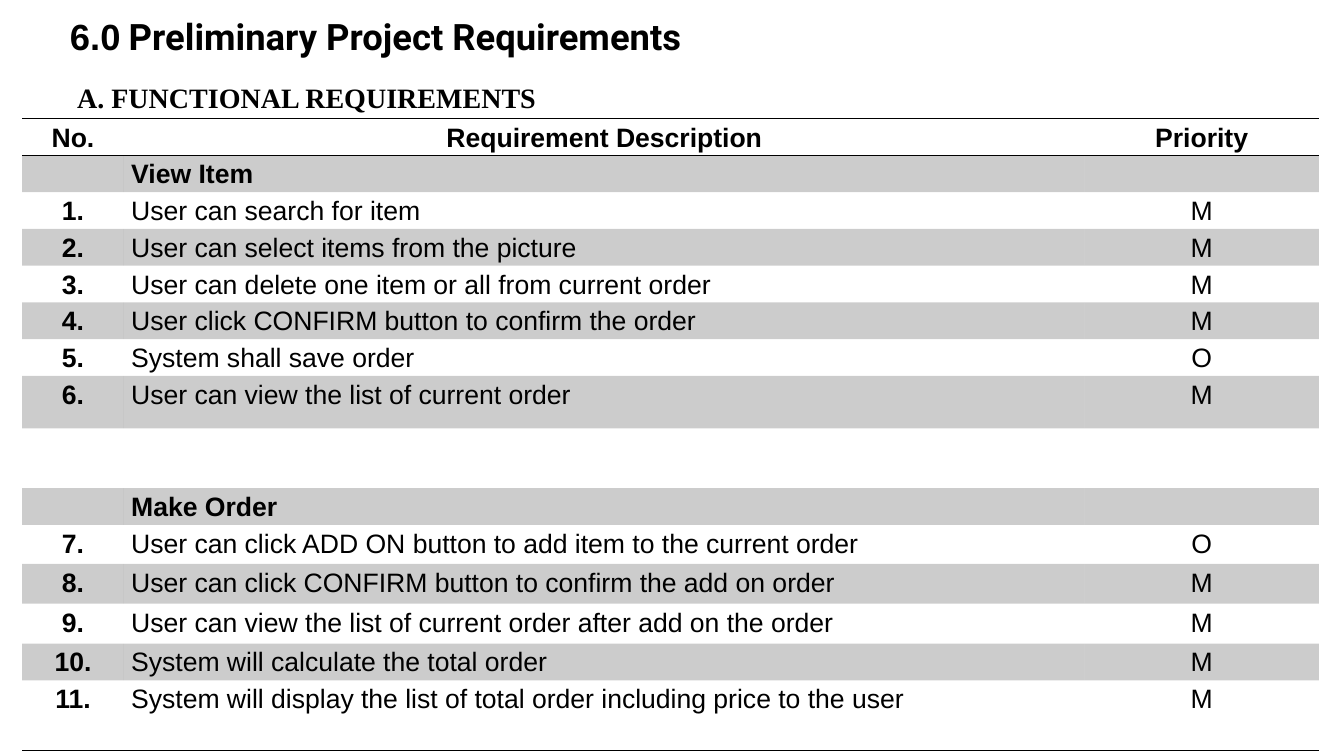
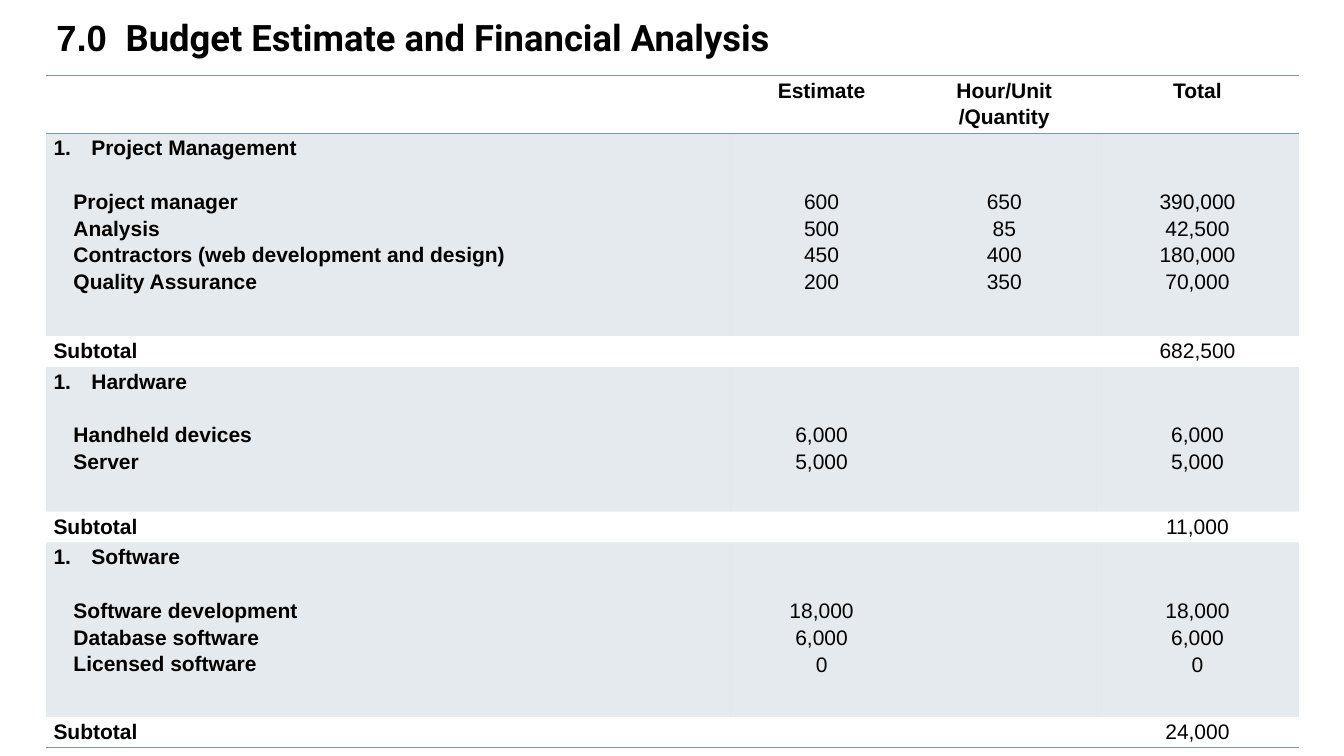
from dataclasses import dataclass
from itertools import count

from pptx import Presentation
from pptx.dml.color import RGBColor
from pptx.enum.text import MSO_ANCHOR as Anchor, MSO_AUTO_SIZE as AutoSize, PP_ALIGN as Align
from pptx.oxml import parse_xml
from pptx.oxml.ns import nsdecls, qn
from pptx.util import Pt

PX = 9525
SLIDE_SIZE = (1280, 720)
NO_STYLE = "{2D5ABB26-0587-4C30-8999-92F81FD0307C}"


@dataclass(frozen=True)
class Theme:
    """Colours, fonts and type sizes shared by the slides."""

    ink: str = "000000"
    steel: str = "7E97AD"
    body_font: str = "Arial"
    heading_font: str = "Roboto"
    section_font: str = "Times New Roman"
    title_size: int = 26
    section_size: int = 20
    requirement_size: int = 19
    budget_size: int = 15
    line_spacing: float = 1.15
    band_opacity: int = 20000
    rule_width: int = 12700


THEME = Theme()

REQUIREMENTS = {
    "View Item": [
        ("User can search for item", "M"),
        ("User can select items from the picture", "M"),
        ("User can delete one item or all from current order", "M"),
        ("User click CONFIRM button to confirm the order", "M"),
        ("System shall save order", "O"),
        ("User can view the list of current order", "M"),
    ],
    "Make Order": [
        ("User can click ADD ON button to add item to the current order", "O"),
        ("User can click CONFIRM button to confirm the add on order", "M"),
        ("User can view the list of current order after add on the order", "M"),
        ("System will calculate the total order", "M"),
        ("System will display the list of total order including price to the user", "M"),
    ],
}

BUDGET = {
    "Project Management": [
        ("Project manager", 600, 650),
        ("Analysis", 500, 85),
        ("Contractors (web development and design)", 450, 400),
        ("Quality Assurance", 200, 350),
    ],
    "Hardware": [("Handheld devices", 6000, None), ("Server", 5000, None)],
    "Software": [
        ("Software development", 18000, None),
        ("Database software", 6000, None),
        ("Licensed software", 0, None),
    ],
}


def set_values(target, values):
    """Set every attribute named in a dict of format values."""
    for name, value in values.items():
        setattr(target, name, value)


def scale(*lengths):
    """Turn px lengths into EMU."""
    return [length * PX for length in lengths]


def add_run(paragraph, text, font, size, bold=True):
    """Append one formatted run to a paragraph."""
    run = paragraph.add_run()
    run.text = text
    set_values(run.font, {"name": font, "size": Pt(size), "bold": bold})
    run.font.color.rgb = RGBColor.from_string(THEME.ink)


def add_title(slide, box, number, heading, gap):
    """Fill the title placeholder, with the heading at a tab stop after its number."""
    title = slide.shapes.title
    set_values(title, dict(zip(("left", "top", "width", "height"), scale(*box))))
    frame = title.text_frame
    set_values(frame, {"vertical_anchor": Anchor.TOP, "auto_size": AutoSize.NONE, "word_wrap": True})
    paragraph = frame.paragraphs[0]
    paragraph.alignment = Align.LEFT
    paragraph._p.get_or_add_pPr().append(
        parse_xml(f'<a:tabLst {nsdecls("a")}><a:tab pos="{gap * PX}" algn="l"/></a:tabLst>')
    )
    add_run(paragraph, f"{number}\t", THEME.body_font, THEME.title_size)
    add_run(paragraph, heading, THEME.heading_font, THEME.title_size)


def add_section_heading(slide, box, text):
    """Place the heading that stands above a table."""
    frame = slide.shapes.add_textbox(*scale(*box)).text_frame
    set_values(frame, {"word_wrap": True, "vertical_anchor": Anchor.BOTTOM})
    add_run(frame.paragraphs[0], text, THEME.section_font, THEME.section_size)


def add_plain_table(slide, corner, columns, rows):
    """Add an unstyled table with the given column widths and row heights."""
    box = scale(*corner, sum(columns), sum(rows))
    shape = slide.shapes.add_table(len(rows), len(columns), *box)
    table = shape.table
    set_values(table, {"first_row": False, "horz_banding": False})
    for style in shape._element.iter(qn("a:tableStyleId")):
        style.text = NO_STYLE
    for column, width in zip(table.columns, columns):
        column.width = width * PX
    for row, height in zip(table.rows, rows):
        row.height = height * PX
    inset = dict(zip(("margin_left", "margin_right", "margin_top", "margin_bottom"), scale(7, 7, 0, 0)))
    for cell in table.iter_cells():
        set_values(cell, inset)
    return table


def fill_cell(cell, lines, size, bold=False, align=Align.LEFT):
    """Write one paragraph per line into a cell and return the paragraphs."""
    frame = cell.text_frame
    for index, line in enumerate(lines):
        paragraph = frame.add_paragraph() if index else frame.paragraphs[0]
        set_values(paragraph, {"alignment": align, "line_spacing": THEME.line_spacing})
        add_run(paragraph, line, THEME.body_font, size, bold)
    return frame.paragraphs


def add_rule(cell, side, color):
    """Draw the top (T) or bottom (B) border of a cell."""
    cell._tc.get_or_add_tcPr().insert(0, parse_xml(
        f'<a:ln{side} {nsdecls("a")} w="{THEME.rule_width}"><a:solidFill>'
        f'<a:srgbClr val="{color}"/></a:solidFill></a:ln{side}>'
    ))


def paint_table(table, color):
    """Tint every second row and rule off the header and the last row."""
    last = len(table.rows) - 1
    for index, row in enumerate(table.rows):
        for cell in row.cells:
            if index % 2:
                cell.fill.solid()
                cell.fill.fore_color.rgb = RGBColor.from_string(color)
                tint = next(cell._tc.tcPr.iter(qn("a:srgbClr")))
                tint.append(parse_xml(f'<a:alpha {nsdecls("a")} val="{THEME.band_opacity}"/>'))
            else:
                cell.fill.background()
            if index in (0, last):
                add_rule(cell, "B", color)
            if index == 0:
                add_rule(cell, "T", color)


def add_requirements_table(slide, corner):
    """Build the numbered requirements, with an empty row between groups."""
    heights = [35] * 7 + [50, 57, 35, 37, 38, 38, 35, 67]
    table = add_plain_table(slide, corner, (97, 915, 223), heights)
    size = THEME.requirement_size
    for column, label in enumerate(("No.", "Requirement Description", "Priority")):
        fill_cell(table.cell(0, column), [label], size, True, Align.CENTER)
    row, number = 1, count(1)
    for group, requirements in REQUIREMENTS.items():
        if row > 1:
            table.cell(row, 0).merge(table.cell(row, 2))
            row += 1
        fill_cell(table.cell(row, 1), [group], size, True)
        for row, (text, priority) in enumerate(requirements, row + 1):
            fill_cell(table.cell(row, 0), [f"{next(number)}."], size, True, Align.CENTER)
            fill_cell(table.cell(row, 1), [text], size)
            fill_cell(table.cell(row, 2), [priority], size, False, Align.CENTER)
        row += 1
    paint_table(table, THEME.ink)


def format_group(paragraphs):
    """Number the group name and indent its items below a gap."""
    properties = paragraphs[0]._p.get_or_add_pPr()
    set_values(paragraphs[1], {"space_before": Pt(19)})
    for paragraph in paragraphs[1:]:
        paragraph._p.get_or_add_pPr().set("marL", str(19 * PX))
    properties.set("marL", str(36 * PX))
    properties.set("indent", str(-36 * PX))
    properties.append(parse_xml(f'<a:buFont {nsdecls("a")} typeface="+mj-lt"/>'))
    properties.append(parse_xml(f'<a:buAutoNum {nsdecls("a")} type="arabicPeriod"/>'))


def add_budget_table(slide, corner):
    """Build the cost groups, each followed by its subtotal."""
    heights = (55, 193, 28, 138, 28, 166, 28)
    table = add_plain_table(slide, corner, (652, 173, 175, 193), heights)
    size = THEME.budget_size
    for column, lines in enumerate((["Estimate"], ["Hour/Unit", "/Quantity"], ["Total"]), 1):
        fill_cell(table.cell(0, column), lines, size, True, Align.CENTER)
    for index, (group, items) in enumerate(BUDGET.items()):
        row = 1 + 2 * index
        names, estimates, quantities = zip(*items)
        totals = [estimate * (quantity or 1) for _, estimate, quantity in items]
        format_group(fill_cell(table.cell(row, 0), [group, *names], size, True))
        for column, values in enumerate((estimates, quantities, totals), 1):
            cell = table.cell(row, column)
            cell.margin_top = 51 * PX
            lines = [f"{value:,}" for value in values if value is not None]
            fill_cell(cell, lines, size, False, Align.CENTER)
        fill_cell(table.cell(row + 1, 0), ["Subtotal"], size, True)
        fill_cell(table.cell(row + 1, 3), [f"{sum(totals):,}"], size, False, Align.CENTER)
    paint_table(table, THEME.steel)


def build_requirements_slide(slide):
    """Lay out the functional requirements."""
    add_title(slide, (57, 9, 1042, 52), "6.0", "Preliminary Project Requirements", 56)
    add_section_heading(slide, (64, 61, 691, 52), "A. FUNCTIONAL REQUIREMENTS")
    add_requirements_table(slide, (21, 113))


def build_budget_slide(slide):
    """Lay out the budget estimate."""
    add_title(slide, (44, 10, 966, 52), "7.0", "Budget Estimate and Financial Analysis", 66)
    add_budget_table(slide, (44, 72))


def main():
    """Build and save the presentation."""
    presentation = Presentation()
    set_values(presentation, dict(zip(("slide_width", "slide_height"), scale(*SLIDE_SIZE))))
    for build in (build_requirements_slide, build_budget_slide):
        build(presentation.slides.add_slide(presentation.slide_layouts[5]))
    presentation.save("out.pptx")


if __name__ == "__main__":
    main()
